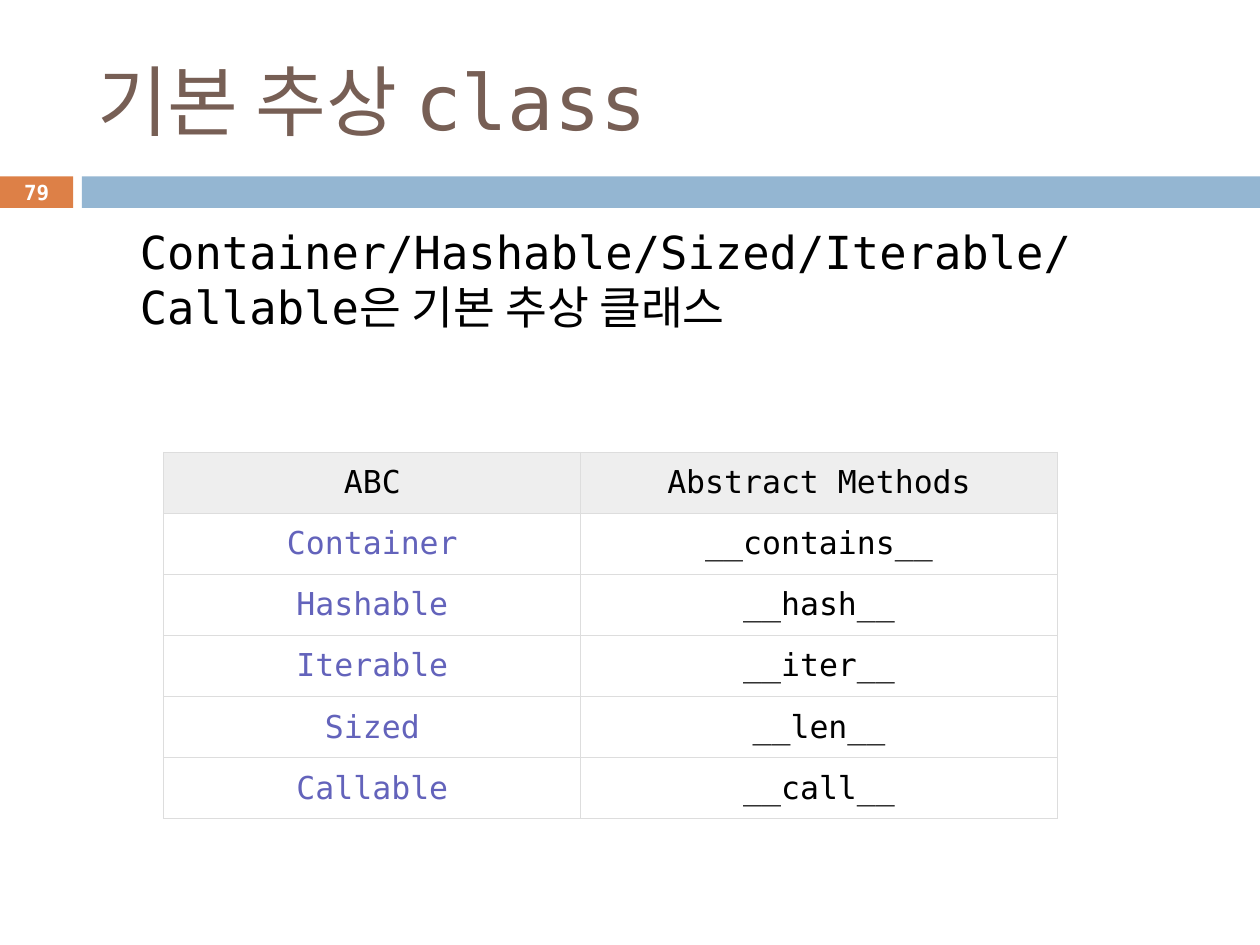
from lxml.etree import SubElement
from pptx import Presentation
from pptx.dml.color import RGBColor
from pptx.enum.shapes import MSO_SHAPE as Shape
from pptx.enum.text import MSO_ANCHOR as Anchor, MSO_AUTO_SIZE as AutoSize, PP_ALIGN as Align
from pptx.oxml.ns import qn
from pptx.util import Inches, Pt

FONT = "DejaVu Sans Mono"
ROWS = [
    ("ABC", "Abstract Methods"),
    ("Container", "__contains__"),
    ("Hashable", "__hash__"),
    ("Iterable", "__iter__"),
    ("Sized", "__len__"),
    ("Callable", "__call__"),
]


def paint(color_format, color):
    """Set a colour format from a hex string."""
    color_format.rgb = RGBColor.from_string(color)


def fill_solid(target, color):
    """Give a shape or cell a solid fill."""
    target.fill.solid()
    paint(target.fill.fore_color, color)


def write(text_frame, text, size, color, align=Align.LEFT, bold=False):
    """Write one formatted paragraph and return it."""
    text_frame.text = text
    paragraph = text_frame.paragraphs[0]
    paragraph.alignment = align
    paragraph.space_before = Pt(0)
    font = paragraph.runs[0].font
    font.name, font.size, font.bold = FONT, Pt(size), bold
    paint(font.color, color)
    return paragraph


def place(shape, left, top, width, height, anchor):
    """Position a placeholder and fix its text anchoring."""
    shape.left, shape.top = Inches(left), Inches(top)
    shape.width, shape.height = Inches(width), Inches(height)
    shape.text_frame.word_wrap = True
    shape.text_frame.auto_size = AutoSize.NONE
    shape.text_frame.vertical_anchor = anchor


def add_bar(slide, left, width, color):
    """Add one block of the band below the title."""
    bar = slide.shapes.add_shape(
        Shape.RECTANGLE, Inches(left), Inches(1.4), Inches(width), Inches(0.25))
    bar.shadow.inherit = False
    fill_solid(bar, color)
    bar.line.fill.background()


def add_page_number(slide, number):
    """Add the page number over the small block."""
    box = slide.shapes.add_textbox(Inches(0), Inches(1.39), Inches(0.58), Inches(0.27))
    frame = box.text_frame
    frame.word_wrap = True
    frame.vertical_anchor = Anchor.MIDDLE
    frame.margin_left = frame.margin_right = frame.margin_top = frame.margin_bottom = 0
    write(frame, number, 11.9, "FFFFFF", Align.CENTER, True)


def add_body(shape, text):
    """Fill the body placeholder with an indented line without bullet."""
    place(shape, 0.51, 1.73, 9, 1.55, Anchor.TOP)
    paragraph = write(shape.text_frame, text, 26, "000000")
    properties = paragraph._p.get_or_add_pPr()
    properties.set("marL", str(Inches(0.5)))
    properties.set("indent", "0")
    SubElement(properties, qn("a:buNone"))


def add_borders(cell, color, width):
    """Draw the four borders of a cell."""
    properties = cell._tc.get_or_add_tcPr()
    for side in ("lnL", "lnR", "lnT", "lnB"):
        line = SubElement(properties, qn(f"a:{side}"), w=str(Pt(width)))
        solid = SubElement(line, qn("a:solidFill"))
        SubElement(solid, qn("a:srgbClr"), val=color)


def add_method_table(slide):
    """Add the table of abstract classes and their methods."""
    table = slide.shapes.add_table(
        len(ROWS), 2, Inches(1.3), Inches(3.59), Inches(7.09), Inches(2.91)).table
    table.first_row = table.horz_banding = False
    for column, width in zip(table.columns, (3.31, 3.78)):
        column.width = Inches(width)
    for row_index, row in enumerate(ROWS):
        for column_index, text in enumerate(row):
            cell = table.cell(row_index, column_index)
            add_borders(cell, "DDDDDD", 0.6)
            fill_solid(cell, "FFFFFF" if row_index else "EEEEEE")
            cell.vertical_anchor = Anchor.MIDDLE
            cell.margin_left = cell.margin_right = Inches(0.03)
            cell.margin_top = cell.margin_bottom = Inches(0.01)
            is_class = row_index > 0 and column_index == 0
            write(cell.text_frame, text, 18, "6363BB" if is_class else "000000", Align.CENTER)


def main():
    """Build the slide and save it."""
    presentation = Presentation()
    presentation.slide_width, presentation.slide_height = Inches(10), Inches(7.5)
    slide = presentation.slides.add_slide(presentation.slide_layouts[1])
    title, body = slide.placeholders
    place(title, 0.67, 0.25, 8.92, 1.08, Anchor.MIDDLE)
    write(title.text_frame, "기본 추상 class", 44, "775F55")
    add_body(body, "Container/Hashable/Sized/Iterable/Callable은 기본 추상 클래스")
    add_bar(slide, 0, 0.58, "DD8047")
    add_bar(slide, 0.65, 9.35, "94B6D2")
    add_page_number(slide, "79")
    add_method_table(slide)
    presentation.save("out.pptx")


if __name__ == "__main__":
    main()
